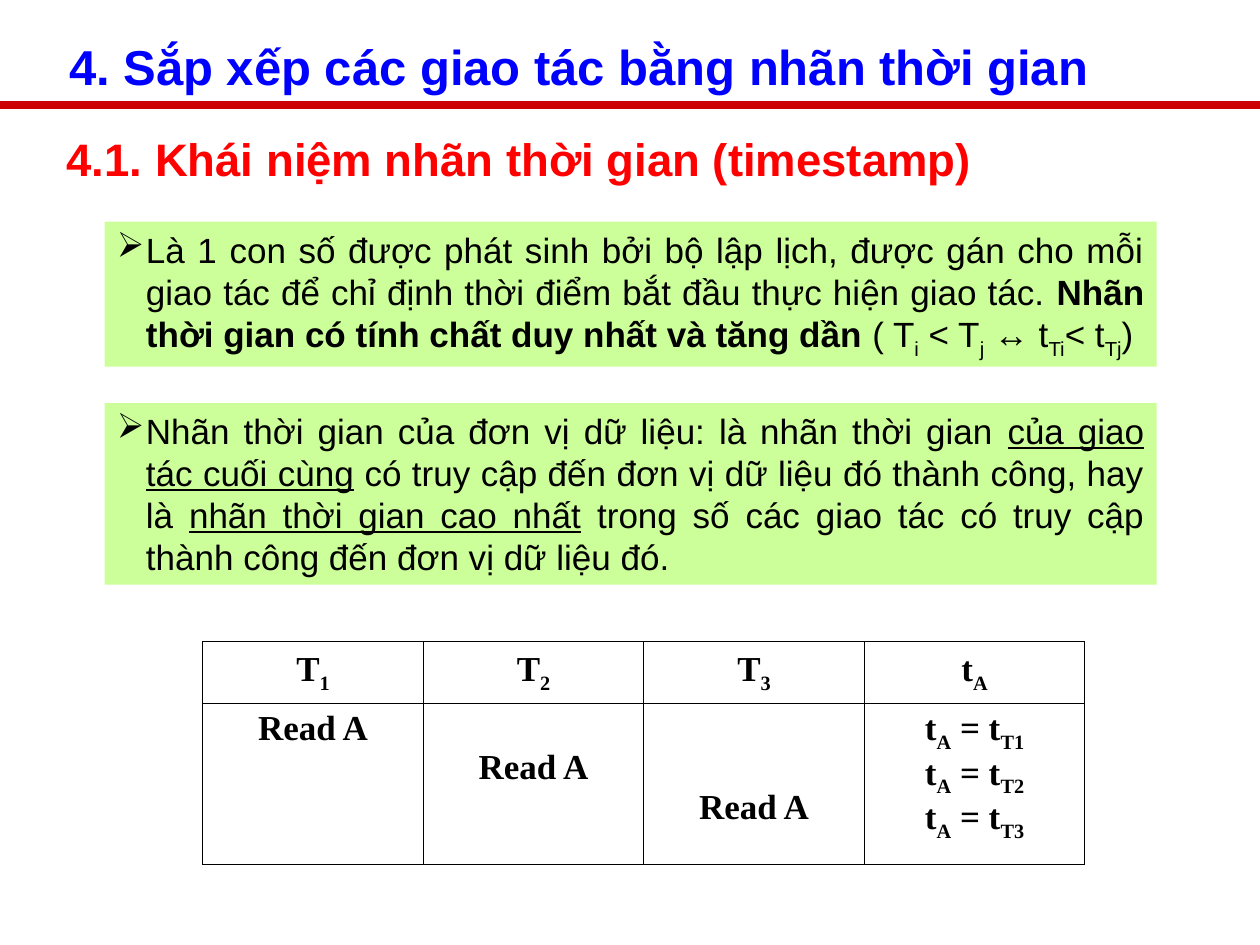
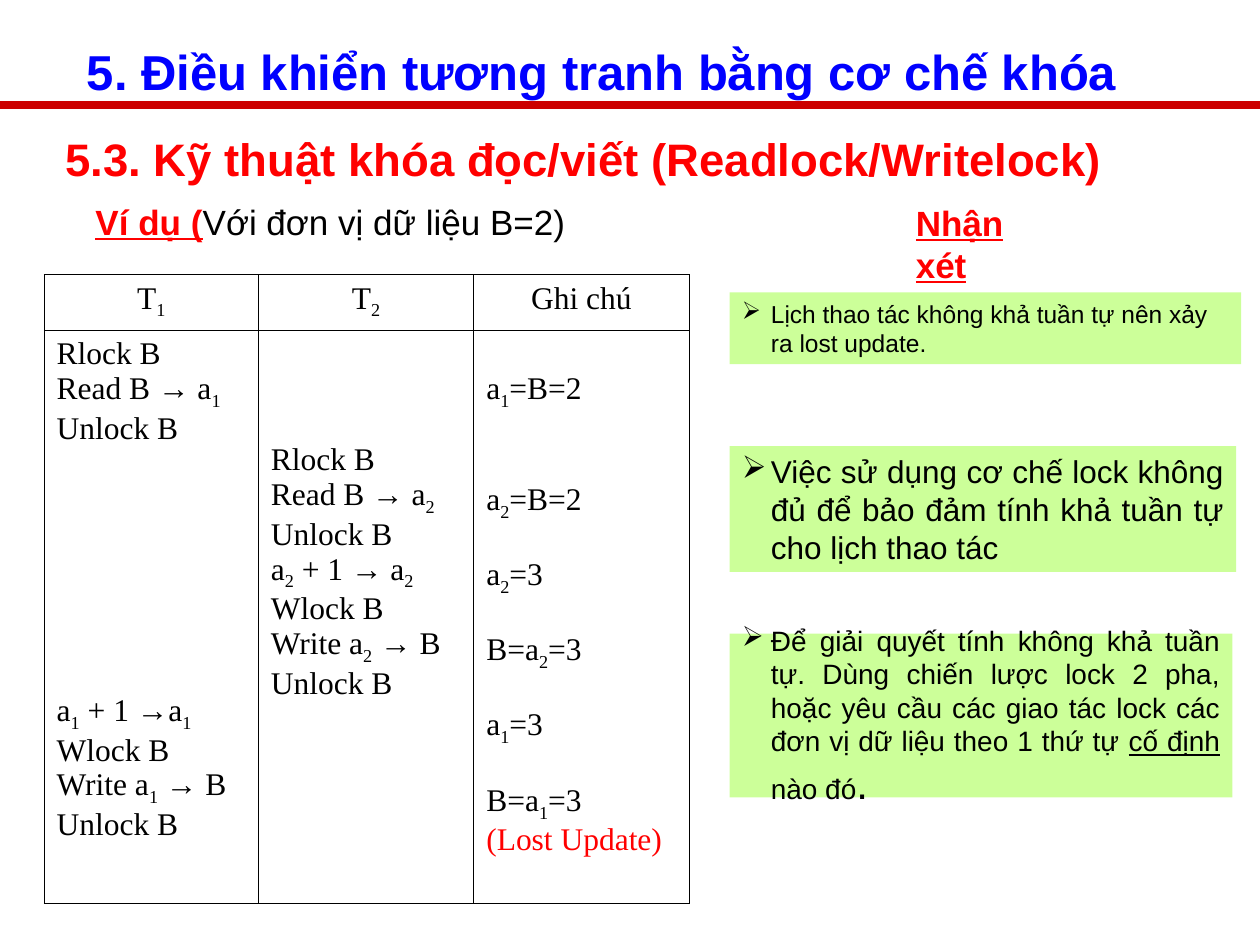
from lxml import etree
from pptx import Presentation
from pptx.dml.color import RGBColor
from pptx.enum.shapes import MSO_CONNECTOR, MSO_SHAPE
from pptx.enum.text import MSO_ANCHOR, MSO_AUTO_SIZE, PP_ALIGN
from pptx.oxml.ns import qn
from pptx.util import Inches, Pt

RECTANGLE, STRAIGHT = MSO_SHAPE.RECTANGLE, MSO_CONNECTOR.STRAIGHT
TOP, MIDDLE = MSO_ANCHOR.TOP, MSO_ANCHOR.MIDDLE
LEFT, CENTER, JUSTIFY = PP_ALIGN.LEFT, PP_ALIGN.CENTER, PP_ALIGN.JUSTIFY
NO_AUTOFIT = MSO_AUTO_SIZE.NONE


class Theme:
    sans, serif = "Arial", "Times New Roman"
    black = RGBColor(0, 0, 0)
    red = RGBColor(0xFF, 0, 0)
    title_blue = RGBColor(0, 0, 0xFF)
    rule_red = RGBColor(0xCC, 0, 0)
    note_green = RGBColor(0xCC, 0xFF, 0x99)
    title_size, section_size, body_size = 28, 26, 20
    serif_line = 1.12
    hanging = 0.23
    cell_inset = 0.05


# The first character of a "|"-separated piece selects its formatting.
MARKS = {
    "_": {"baseline": "-25000"},
    "*": {"bold": True},
    "~": {"underline": True},
    "%": {"bold": False, "underline": False, "color": Theme.black},
    "!": {"color": Theme.red},
    "#": {"size": Pt(24)},
}


def write_runs(paragraph, markup, size, name=Theme.sans, color=Theme.black, **extra):
    """Add one run per piece of markup, each with the base format plus its mark."""
    base = {"size": Pt(size), "name": name, "color": color, **extra}
    for piece in markup.split("|"):
        mark = MARKS.get(piece[0], {})
        run = paragraph.add_run()
        run.text = piece[1:] if mark else piece
        for attribute, value in {**base, **mark}.items():
            if attribute == "color":
                run.font.color.rgb = value
            elif attribute == "baseline":
                run._r.get_or_add_rPr().set("baseline", value)
            else:
                setattr(run.font, attribute, value)


def add_schedule(slide, left, top, widths, heights, header, columns, size,
                 bold, body_align, header_anchor):
    """Add a bordered table; empty lines in a column become spacing."""
    table = slide.shapes.add_table(
        2, len(widths), Inches(left), Inches(top),
        Inches(sum(widths)), Inches(sum(heights))).table
    table.first_row = table.horz_banding = False
    for column, width in zip(table.columns, widths):
        column.width = Inches(width)
    for row, height in zip(table.rows, heights):
        row.height = Inches(height)

    contents = [[heading] for heading in header] + columns
    line_height = size * Theme.serif_line
    for index, (cell, lines) in enumerate(zip(table.iter_cells(), contents)):
        is_header = index < len(header)
        cell.vertical_anchor = header_anchor if is_header else TOP
        cell.margin_top = cell.margin_bottom = Inches(Theme.cell_inset)
        properties = cell._tc.get_or_add_tcPr()
        for side in ("lnL", "lnR", "lnT", "lnB"):
            border = etree.SubElement(properties, qn(f"a:{side}"), w=str(Pt(0.45)))
            paint = etree.SubElement(border, qn("a:solidFill"))
            etree.SubElement(paint, qn("a:srgbClr"), val=str(Theme.black))
        cell.fill.background()

        gap, started = 0, False
        for line in lines:
            if not line:
                gap += 1
                continue
            if started:
                paragraph = cell.text_frame.add_paragraph()
                paragraph.space_before = Pt(round(gap * line_height, 1))
            else:
                paragraph = cell.text_frame.paragraphs[0]
                cell.margin_top = Inches(Theme.cell_inset) + Pt(gap * line_height)
            paragraph.alignment = CENTER if is_header else body_align
            write_runs(paragraph, line, size, Theme.serif, bold=bold)
            gap, started = 0, True


prs = Presentation()
prs.slide_width, prs.slide_height = Inches(10), Inches(7.5)
title_layout = prs.slide_layouts[5]
timestamp_slide = prs.slides.add_slide(title_layout)
lock_slide = prs.slides.add_slide(title_layout)

# Red rule under the title, shared through the layout
rule = timestamp_slide.shapes.add_connector(
    STRAIGHT, 0, Inches(0.83), prs.slide_width, Inches(0.83))
rule.line.color.rgb = Theme.rule_red
rule.line.width = Pt(4.5)
etree.SubElement(rule.element.spPr, qn("a:effectLst"))
title_layout.shapes.element.append(rule.element)

# Titles
for slide, left, top, width, text in [
    (timestamp_slide, 0.45, 0.24, 8.39, "4. Sắp xếp các giao tác bằng nhãn thời gian"),
    (lock_slide, 0.59, 0.28, 8.37, "5. Điều khiển tương tranh bằng cơ chế khóa"),
]:
    title = slide.shapes.title
    title.left, title.top = Inches(left), Inches(top)
    title.width, title.height = Inches(width), Inches(0.57)
    frame = title.text_frame
    frame.word_wrap, frame.auto_size, frame.vertical_anchor = False, NO_AUTOFIT, MIDDLE
    frame.paragraphs[0].alignment = LEFT
    write_runs(frame.paragraphs[0], text, Theme.title_size,
               color=Theme.title_blue, bold=True)

# Section headings and captions
for slide, left, top, width, height, size, underline, text in [
    (timestamp_slide, 0.43, 0.99, 7.39, 0.54, Theme.section_size, False,
     "4.1. Khái niệm nhãn thời gian (timestamp)"),
    (lock_slide, 0.42, 0.99, 8.44, 0.54, Theme.section_size, False,
     "5.3. Kỹ thuật khóa đọc/viết (Readlock/Writelock)"),
    (lock_slide, 0.66, 1.54, 3.93, 0.44, Theme.body_size, True,
     "Ví dụ (|%Với đơn vị dữ liệu B=2)"),
    (lock_slide, 7.17, 1.55, 1.37, 0.44, Theme.body_size, True, "Nhận xét"),
]:
    heading = slide.shapes.add_textbox(
        Inches(left), Inches(top), Inches(width), Inches(height))
    heading.text_frame.word_wrap = False
    write_runs(heading.text_frame.paragraphs[0], text, size,
               color=Theme.red, bold=True, underline=underline)

# Green notes with an arrow bullet
for slide, left, top, width, height, anchor, align, size, text in [
    (timestamp_slide, 0.83, 1.76, 8.35, 1.15, MIDDLE, JUSTIFY, Theme.body_size,
     "Là 1 con số được phát sinh bởi bộ lập lịch, được gán cho mỗi giao tác để chỉ "
     "định thời điểm bắt đầu thực hiện giao tác. |*Nhãn thời gian có tính chất duy "
     "nhất và tăng dần| ( T|_i| < T|_j| ↔ t|_Ti|< t|_Tj|)"),
    (timestamp_slide, 0.83, 3.2, 8.35, 1.44, TOP, JUSTIFY, Theme.body_size,
     "Nhãn thời gian của đơn vị dữ liệu: là nhãn thời gian |~của giao tác cuối cùng"
     "| có truy cập đến đơn vị dữ liệu đó thành công, hay là |~nhãn thời gian cao "
     "nhất| trong số các giao tác có truy cập thành công đến đơn vị dữ liệu đó."),
    (lock_slide, 5.79, 2.32, 4.06, 0.57, MIDDLE, LEFT, 14,
     "Lịch thao tác không khả tuần tự nên xảy ra lost update."),
    (lock_slide, 5.79, 3.54, 4.02, 1, MIDDLE, JUSTIFY, 18,
     "Việc sử dụng cơ chế lock không đủ để bảo đảm tính khả tuần tự cho lịch thao tác"),
    (lock_slide, 5.79, 5.03, 3.99, 1.3, MIDDLE, JUSTIFY, 16,
     "Để giải quyết tính không khả tuần tự. Dùng chiến lược lock 2 pha, hoặc yêu cầu "
     "các giao tác lock các đơn vị dữ liệu theo 1 thứ tự |~cố định| nào đó|#."),
]:
    note = slide.shapes.add_shape(
        RECTANGLE, Inches(left), Inches(top), Inches(width), Inches(height))
    note.shadow.inherit = False
    note.fill.solid()
    note.fill.fore_color.rgb = Theme.note_green
    note.line.fill.background()
    note.text_frame.word_wrap = True
    note.text_frame.vertical_anchor = anchor
    paragraph = note.text_frame.paragraphs[0]
    paragraph.alignment = align
    properties = paragraph._p.get_or_add_pPr()
    properties.set("marL", str(Inches(Theme.hanging)))
    properties.set("indent", str(-Inches(Theme.hanging)))
    bullet_color = etree.SubElement(properties, qn("a:buClr"))
    etree.SubElement(bullet_color, qn("a:srgbClr"), val=str(Theme.black))
    etree.SubElement(properties, qn("a:buChar"), char="➢")
    write_runs(paragraph, text, size)

# Schedules
add_schedule(
    timestamp_slide, 1.61, 5.09, [1.75] * 4, [0.49, 1.28],
    header=["T|_1", "T|_2", "T|_3", "t|_A"],
    columns=[[""] * step + ["Read A"] for step in range(3)]
    + [[f"t|_A| = t|_T{number}" for number in (1, 2, 3)]],
    size=20, bold=True, body_align=CENTER, header_anchor=MIDDLE)

add_schedule(
    lock_slide, 0.35, 2.18, [1.7, 1.71, 1.71], [0.44, 4.55],
    header=["T|_1", "T|_2", "Ghi chú"],
    columns=[
        ["Rlock B", "Read B → a|_1", "Unlock B", *[""] * 7,
         "a|_1| + 1 →a|_1", "Wlock B", "Write a|_1| → B", "Unlock B"],
        [*[""] * 3, "Rlock B", "Read B → a|_2", "Unlock B",
         "a|_2| + 1 → a|_2", "Wlock B", "Write a|_2| → B", "Unlock B"],
        ["", "a|_1|=B=2", "", "", "a|_2|=B=2", "", "a|_2|=3", "", "B=a|_2|=3",
         "", "a|_1|=3", "", "B=a|_1|=3", "!(Lost Update)"],
    ],
    size=18, bold=False, body_align=LEFT, header_anchor=TOP)

prs.save("out.pptx")
